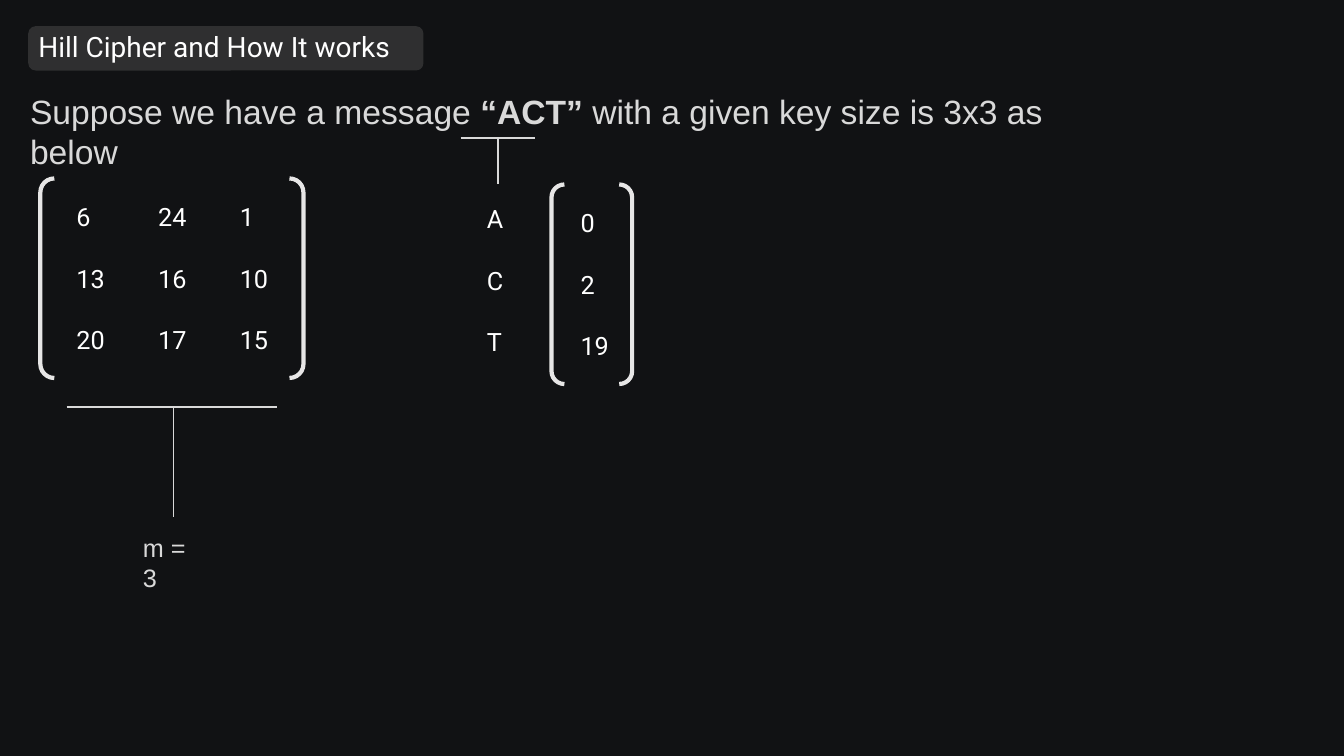
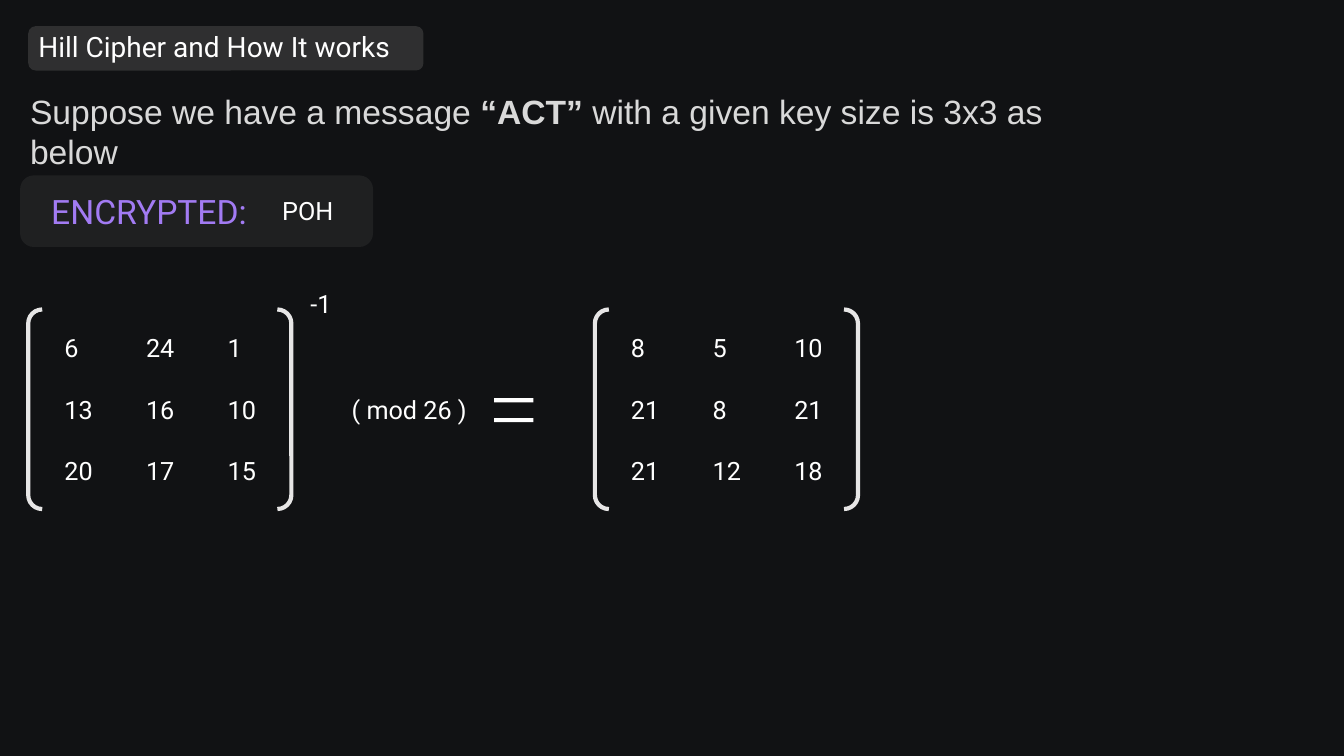
import lxml.etree
import pptx
import pptx.dml.color
import pptx.enum.shapes
import pptx.enum.text
import pptx.oxml.ns
import pptx.util

PX = 9144
SHAPE = pptx.enum.shapes.MSO_SHAPE
COLORS = {
    "background": "111214",
    "panel": "595959",
    "white": "FFFFFF",
    "bracket": "E7E6E6",
    "muted": "D9D9D9",
    "accent": "A27BF3",
}
TITLE = "Hill Cipher and How It works"
INTRO = [
    ("Suppose we have a message ", False),
    ("“ACT” ", True),
    ("with a given key size is 3x3 as below", False),
]
KEY = [[6, 24, 1], [13, 16, 10], [20, 17, 15]]
INVERSE = [[8, 5, 10], [21, 8, 21], [21, 12, 18]]


def color(name):
    return pptx.dml.color.RGBColor.from_string(COLORS[name])


def box(*lengths):
    return [pptx.util.Emu(length * PX) for length in lengths]


class Deck:
    heading_font = "Roboto"
    body_font = "Arial"
    column_pitch = 81
    row_pitch = 61
    bracket_height = 198

    def __init__(self):
        self.presentation = pptx.Presentation()
        self.presentation.slide_width, self.presentation.slide_height = box(1333, 750)
        fill = self.presentation.slide_master.background.fill
        fill.solid()
        fill.fore_color.rgb = color("background")
        self.slide = None

    def add_slide(self):
        layout = self.presentation.slide_layouts.get_by_name("Title Only")
        self.slide = self.presentation.slides.add_slide(layout)
        band = self.panel(28, 26, 392, 44, opacity=42)
        self.slide.shapes._spTree.insert(2, band._element)
        title = self.slide.shapes.title
        title.left, title.top, title.width, title.height = box(28, 24, 395, 44)
        self.set_text(title.text_frame, [(TITLE, None)], 20, "white", self.heading_font)
        self.text(INTRO, 20, 85, 1054, 50, size=24, shade="muted", font=self.body_font)

    def set_text(self, frame, runs, size, shade, font):
        frame.word_wrap = True
        frame.auto_size = pptx.enum.text.MSO_AUTO_SIZE.NONE
        frame.vertical_anchor = pptx.enum.text.MSO_ANCHOR.TOP
        paragraph = frame.paragraphs[0]
        paragraph.alignment = pptx.enum.text.PP_ALIGN.LEFT
        for words, bold in runs:
            run = paragraph.add_run()
            run.text = words
            if bold is not None:
                run.font.bold = bold
        paragraph.font.size = pptx.util.Pt(size)
        paragraph.font.name = font
        paragraph.font.color.rgb = color(shade)

    def text(self, content, left, top, width=51, height=40, size=18, shade="white", font=heading_font):
        runs = [(content, None)] if isinstance(content, str) else content
        frame = self.slide.shapes.add_textbox(*box(left, top, width, height)).text_frame
        self.set_text(frame, runs, size, shade, font)

    def shape(self, kind, left, top, width, height, adjustments=()):
        shape = self.slide.shapes.add_shape(kind, *box(left, top, width, height))
        shape.shadow.inherit = False
        for index, value in enumerate(adjustments):
            shape.adjustments[index] = value
        return shape

    def filled(self, kind, left, top, width, height, shade, adjustments=()):
        shape = self.shape(kind, left, top, width, height, adjustments)
        shape.fill.solid()
        shape.fill.fore_color.rgb = color(shade)
        shape.line.fill.background()
        return shape

    def panel(self, left, top, width, height, opacity, adjustments=()):
        panel = self.filled(SHAPE.ROUNDED_RECTANGLE, left, top, width, height, "panel", adjustments)
        tint = panel._element.spPr.find(".//" + pptx.oxml.ns.qn("a:srgbClr"))
        alpha = lxml.etree.SubElement(tint, pptx.oxml.ns.qn("a:alpha"))
        alpha.set("val", str(opacity * 1000))
        return panel

    def line(self, x1, y1, x2, y2):
        straight = pptx.enum.shapes.MSO_CONNECTOR.STRAIGHT
        line = self.slide.shapes.add_connector(straight, *box(x1, y1, x2, y2))
        line.line.color.rgb = color("muted")
        line.line.width = pptx.util.Pt(1.25)
        lxml.etree.SubElement(line._element.spPr, pptx.oxml.ns.qn("a:effectLst"))

    def tee(self, left, right, top, stem, bottom):
        self.line(left, top, right, top)
        self.line(stem, top, stem, bottom)

    def grid(self, rows, left, top):
        for r, row in enumerate(rows):
            for c, entry in enumerate(row):
                self.text(str(entry), left + c * self.column_pitch, top + r * self.row_pitch)

    def matrix(self, rows, left, top, width=261, indent=26, curve=0.07):
        self.grid(rows, left + indent, top + 18)
        brackets = self.shape(SHAPE.DOUBLE_BRACKET, left, top, width, self.bracket_height, [curve])
        brackets.fill.background()
        brackets.line.color.rgb = color("bracket")
        brackets.line.width = pptx.util.Pt(3)


def key_and_message(deck):
    deck.add_slide()
    deck.matrix(KEY, 40, 177)
    deck.tee(66, 275, 404, 172, 513)
    deck.text("m = 3", 132, 523, 80, shade="muted", font=deck.body_font)
    deck.tee(457, 531, 137, 494, 183)
    deck.grid(["A", "C", "T"], 473, 197)
    deck.matrix([[0], [2], [19]], 547, 183, width=80, indent=19, curve=0.16)


def inverse_key(deck):
    deck.add_slide()
    deck.panel(20, 174, 350, 71, opacity=20, adjustments=[0.19])
    deck.text("ENCRYPTED:", 41, 184, 218, 50, size=24, shade="accent")
    deck.text("POH", 270, 189, 72)
    deck.matrix(KEY, 28, 307)
    deck.text("-1", 298, 281)
    deck.text("( mod 26 )", 339, 386, 144)
    deck.filled(SHAPE.MATH_EQUAL, 483, 366, 53, 82, "white", [0.05, 0.19])
    deck.matrix(INVERSE, 590, 307)


def main():
    deck = Deck()
    key_and_message(deck)
    inverse_key(deck)
    deck.presentation.save("out.pptx")


if __name__ == "__main__":
    main()
